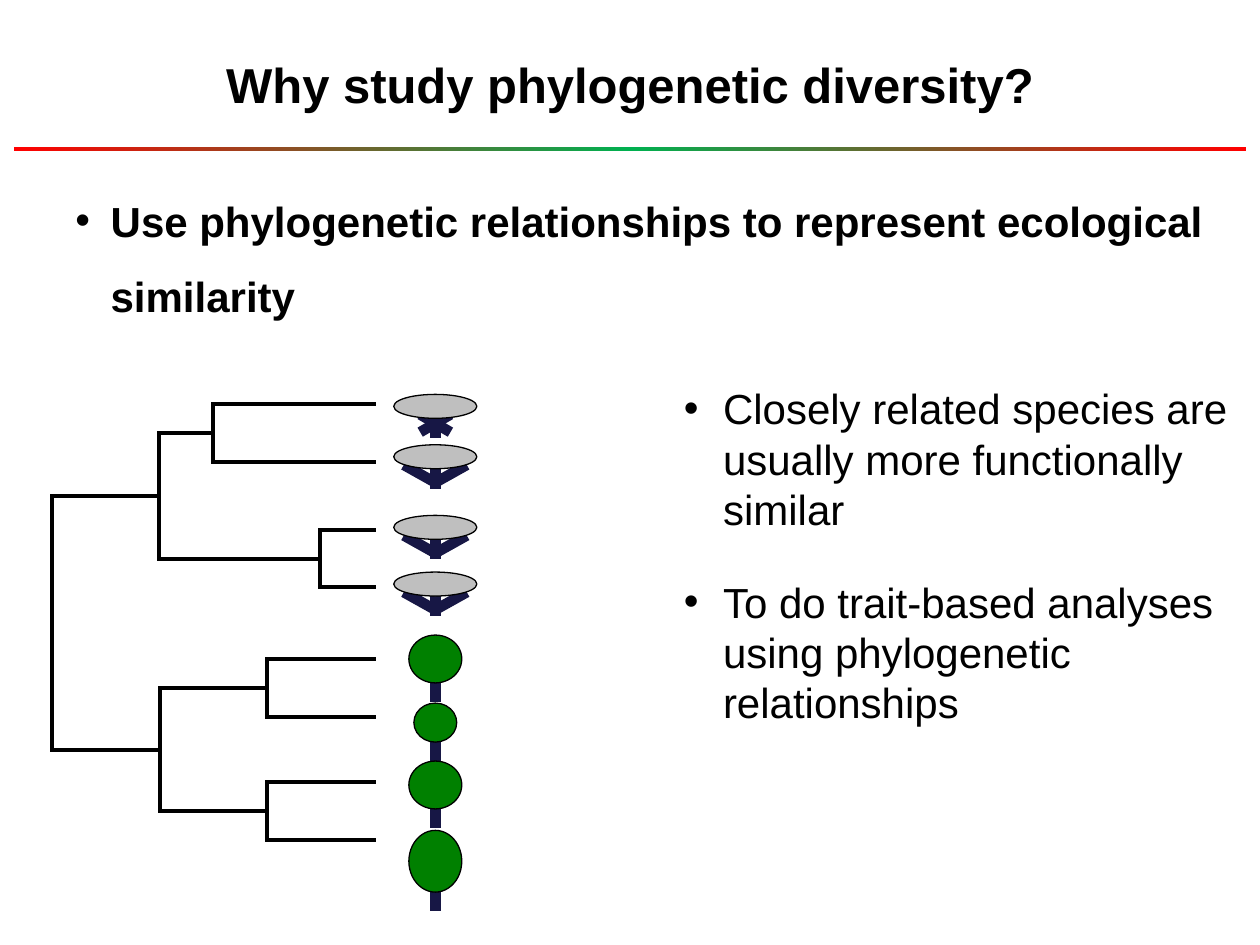
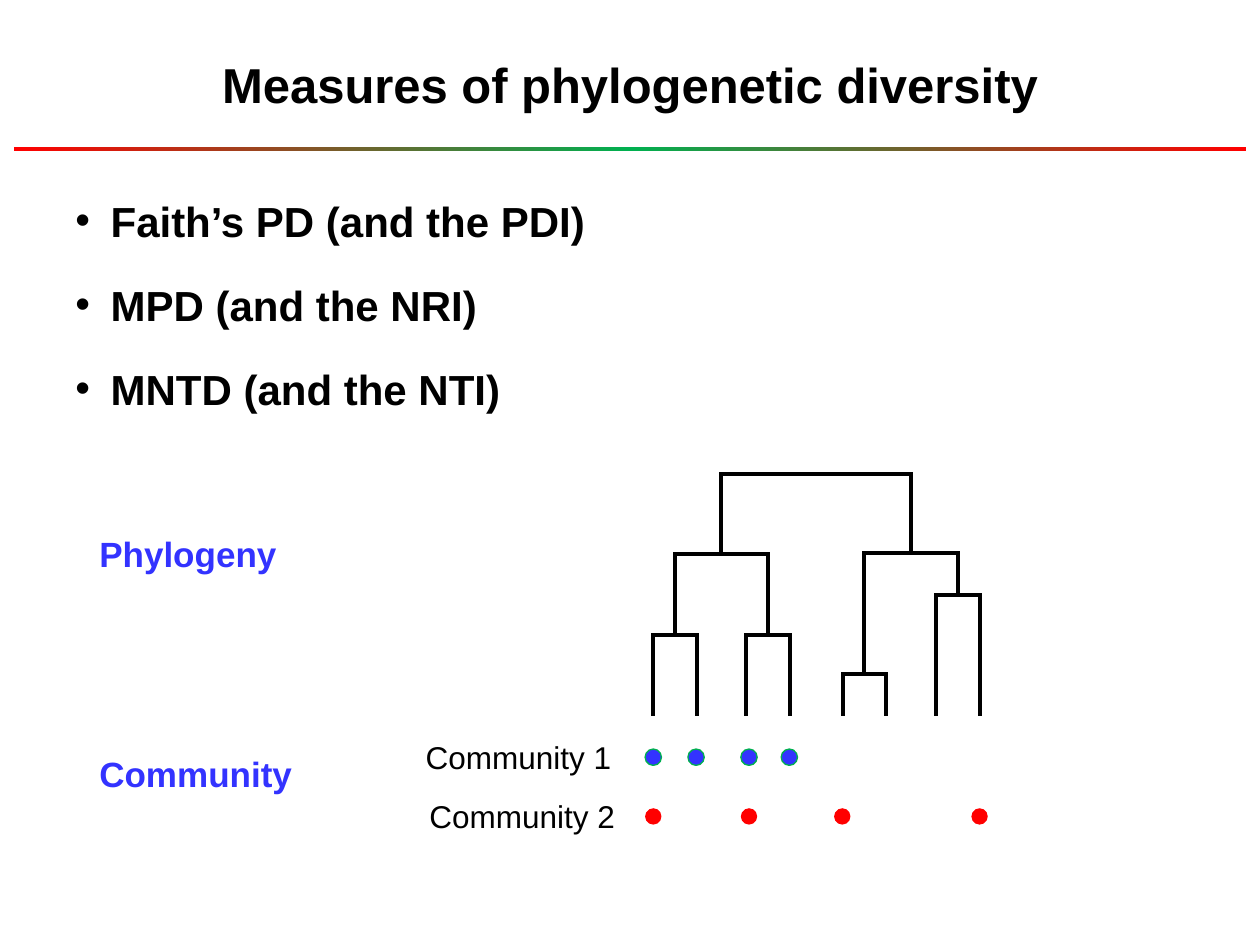
from copy import deepcopy

from lxml.etree import SubElement
from pptx import Presentation
from pptx.dml.color import RGBColor
from pptx.enum.shapes import MSO_CONNECTOR, MSO_SHAPE
from pptx.enum.text import MSO_ANCHOR, PP_ALIGN
from pptx.oxml.ns import qn
from pptx.util import Emu, Pt

EMU_PER_PX = 9144  # 100 px to the inch
FONT = "Arial"
COLORS = {
    "ink": "000000", "red": "FF0000", "green": "00B050", "blue": "3333FF",
    "trunk": "171745", "leaf": "008000", "parasol": "BFBFBF",
}


def px(length):
    return Emu(round(length * EMU_PER_PX))


def rgb(name):
    return RGBColor.from_string(COLORS[name])


def add_text(slide, box, text, size=24, color="ink", bold=False, align=None,
             anchor=MSO_ANCHOR.TOP, wrap=True, indent=0, line_spacing=None, gap=0):
    """Write one paragraph per line of text; an indent gives it a bullet."""
    frame = slide.shapes.add_textbox(*map(px, box)).text_frame
    frame.word_wrap = wrap
    frame.vertical_anchor = anchor
    for number, line in enumerate(text.split("\n")):
        paragraph = frame.paragraphs[0] if number == 0 else frame.add_paragraph()
        if indent:
            properties = paragraph._p.get_or_add_pPr()
            properties.set("marL", str(px(indent)))
            properties.set("indent", str(px(-indent)))
            SubElement(properties, qn("a:buFont"), typeface=FONT)
            SubElement(properties, qn("a:buChar"), char="•")
        paragraph.alignment = align
        paragraph.line_spacing = line_spacing
        if number:
            paragraph.space_before = Pt(gap)
        run = paragraph.add_run()
        run.text = line
        run.font.name = FONT
        run.font.size = Pt(size)
        run.font.bold = bold
        run.font.color.rgb = rgb(color)


def add_stroke(slide, start, end, color="ink", width=2.25, cap="sq"):
    stroke = slide.shapes.add_connector(
        MSO_CONNECTOR.STRAIGHT, *map(px, (*start, *end)))
    stroke.line.color.rgb = rgb(color)
    stroke.line.width = Pt(width)
    stroke.line._get_or_add_ln().set("cap", cap)
    SubElement(stroke._element.spPr, qn("a:effectLst"))


def add_ellipse(slide, box, fill, outline=None):
    ellipse = slide.shapes.add_shape(MSO_SHAPE.OVAL, *map(px, box))
    ellipse.shadow.inherit = False
    ellipse.fill.solid()
    ellipse.fill.fore_color.rgb = rgb(fill)
    if outline:
        ellipse.line.color.rgb = rgb(outline)
        ellipse.line.width = Pt(0.75)
    else:
        ellipse.line.fill.background()


def add_header(slide, title):
    # Red-green-red rule
    rule = slide.shapes.add_shape(MSO_SHAPE.RECTANGLE, *map(px, (11, 117, 978, 3)))
    rule.shadow.inherit = False
    rule.line.fill.background()
    rule.fill.gradient()
    rule.fill.gradient_angle = 0
    first_stop = rule.fill.gradient_stops[0]._gs
    first_stop.addnext(deepcopy(first_stop))
    for stop, position, color in zip(
            rule.fill.gradient_stops, (0, 0.5, 1), ("red", "green", "red")):
        stop.position = position
        stop.color.rgb = rgb(color)
    # Title
    add_text(slide, (50, 13, 900, 107), title, size=28, bold=True,
             align=PP_ALIGN.CENTER, anchor=MSO_ANCHOR.MIDDLE)


def add_key_points(slide, box, text):
    add_text(slide, box, text, bold=True, indent=28, line_spacing=1.5, gap=4.8)


def add_phylogeny(slide, origin, fork, tip_depth, downward=False):
    """Draw a tree of (depth, first, second) forks, whose leaves are offsets.

    Each fork sits midway between its two branches.
    """
    left, top = origin

    def point(depth, offset):
        return (left + offset, top + depth) if downward else (left + depth, top + offset)

    def draw(node):
        if not isinstance(node, tuple):
            return tip_depth, node
        depth, *branches = node
        ends = [draw(branch) for branch in branches]
        offsets = [offset for _, offset in ends]
        add_stroke(slide, point(depth, offsets[0]), point(depth, offsets[1]))
        for end_depth, offset in ends:
            add_stroke(slide, point(depth, offset), point(end_depth, offset))
        return depth, sum(offsets) / 2

    draw(fork)


def add_limb(slide, start, end):
    add_stroke(slide, start, end, color="trunk", width=6, cap="flat")


def add_parasol_plant(slide, center, top, crossed=False):
    # Trunk and two branches under a flat crown
    add_limb(slide, (center, top + 8), (center, top + 35))
    for side in (-1, 1):
        reach, foot = (12, -12) if crossed else (25, 0)
        add_limb(slide, (center + side * reach, top + 16),
                 (center + side * foot, top + 30))
    add_ellipse(slide, (center - 33, top, 66, 19), "parasol", "ink")


def add_round_plant(slide, center, top, width, height):
    bottom = top + height
    add_limb(slide, (center, bottom - 12), (center, bottom + 15))
    add_ellipse(slide, (center - width / 2, top, width, height), "leaf", "ink")


def add_plants(slide, center, top):
    for offset in (0, 40, 96, 141):
        add_parasol_plant(slide, center, top + offset, crossed=offset == 0)
    for offset, width, height in ((191, 42, 38), (245, 34, 31),
                                  (291, 42, 38), (346, 42, 49)):
        add_round_plant(slide, center, top + offset, width, height)


def add_community(slide, left, top, name, label_shift, species, fill, outline=None):
    """Label one community and dot the species that live in it."""
    add_text(slide, (left + label_shift, top, 169, 40), name, size=18, wrap=False)
    for offset in species:
        add_ellipse(slide, (left + offset, top + 13.5, 13, 13), fill, outline)


def build_why_slide(slide):
    add_header(slide, "Why study phylogenetic diversity?")
    add_key_points(slide, (50, 130, 928, 135),
                   "Use phylogenetic relationships to represent ecological similarity")
    add_text(slide, (533, 299, 451, 347),
             "Closely related species are usually more functionally similar\n"
             "To do trait-based analyses using phylogenetic relationships",
             indent=31, gap=24)
    parasol_clade = (85, (128, 0, 46), (213, 100, 145))
    round_clade = (86, (171, 202, 248), (171, 300, 346))
    add_phylogeny(slide, (41, 321), (0, parasol_clade, round_clade), tip_depth=256)
    add_plants(slide, 345.5, 313)


def build_measures_slide(slide):
    add_header(slide, "Measures of phylogenetic diversity")
    add_key_points(slide, (50, 130, 900, 197),
                   "Faith’s PD (and the PDI)\nMPD (and the NRI)\nMNTD (and the NTI)")
    # Row headings
    for heading, top in (("Phylogeny", 418), ("Community", 592)):
        add_text(slide, (69, top, 174, 44), heading, size=20, color="blue",
                 bold=True, wrap=False)
    # Phylogeny
    left_clade = (64, (128, 0, 35), (128, 74, 109))
    right_clade = (63, (159, 151, 185), (96, 225, 260))
    add_phylogeny(slide, (518, 376), (0, left_clade, right_clade),
                  tip_depth=191, downward=True)
    # Communities
    add_community(slide, 328, 581, "Community 1", 0, (184, 218, 260, 292),
                  "blue", "green")
    add_community(slide, 328, 628, "Community 2", 3, (184, 260, 334, 443), "red")


def main():
    deck = Presentation()
    deck.slide_width, deck.slide_height = px(1000), px(750)
    blank = deck.slide_layouts[6]
    for build in (build_why_slide, build_measures_slide):
        build(deck.slides.add_slide(blank))
    deck.save("out.pptx")


if __name__ == "__main__":
    main()
